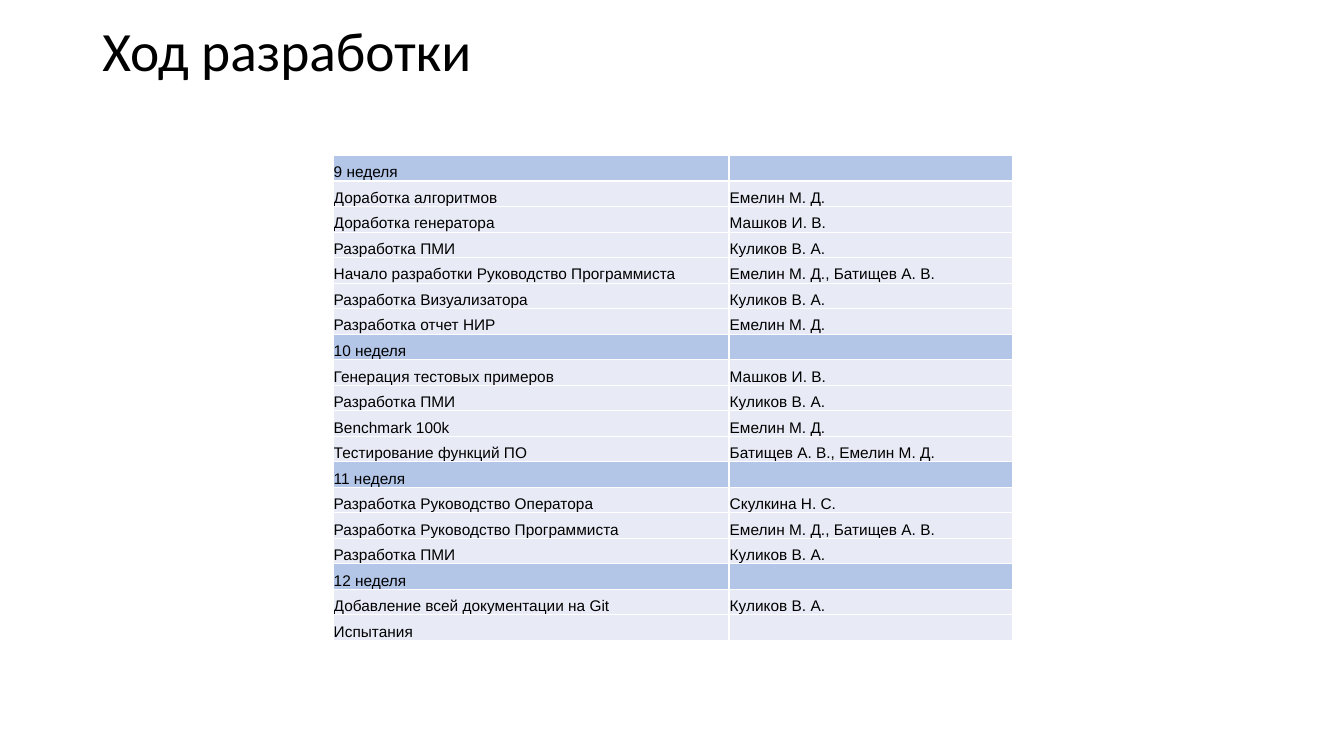
"""Build the development progress slide with its weekly task table."""
from lxml.etree import SubElement, fromstring
from pptx import Presentation
from pptx.dml.color import RGBColor
from pptx.enum.text import MSO_ANCHOR
from pptx.oxml.ns import qn
from pptx.util import Cm, Pt

BORDER = (
    '<a:{side} xmlns:a="http://schemas.openxmlformats.org/drawingml/2006/main" w="12700">'
    '<a:solidFill><a:srgbClr val="FFFFFF"/></a:solidFill></a:{side}>'
)
WEEKS = {
    "9 неделя": [
        ("Доработка алгоритмов", "Емелин М. Д."),
        ("Доработка генератора", "Машков И. В."),
        ("Разработка ПМИ", "Куликов В. А."),
        ("Начало разработки Руководство Программиста", "Емелин М. Д., Батищев А. В."),
        ("Разработка Визуализатора", "Куликов В. А."),
        ("Разработка отчет НИР", "Емелин М. Д."),
    ],
    "10 неделя": [
        ("Генерация тестовых примеров", "Машков И. В."),
        ("Разработка ПМИ", "Куликов В. А."),
        ("Benchmark 100k", "Емелин М. Д."),
        ("Тестирование функций ПО", "Батищев А. В., Емелин М. Д."),
    ],
    "11 неделя": [
        ("Разработка Руководство Оператора", "Скулкина Н. С."),
        ("Разработка Руководство Программиста", "Емелин М. Д., Батищев А. В."),
        ("Разработка ПМИ", "Куликов В. А."),
    ],
    "12 неделя": [
        ("Добавление всей документации на Git", "Куликов В. А."),
        ("Испытания", ""),
    ],
}


def color(value):
    return RGBColor.from_string(value)


def write(frame, text, font="Arial", size=11, fill="000000", spacing=1.0):
    para = frame.paragraphs[0]
    para.line_spacing = spacing
    if not text:
        SubElement(para._p, qn("a:endParaRPr"), sz=str(size * 100))
        return
    span = para.add_run()
    span.text = text
    span.font.name = font
    span.font.size = Pt(size)
    span.font.color.rgb = color(fill)


deck = Presentation()
deck.slide_width = Cm(33.87)
deck.slide_height = Cm(19.05)
page = deck.slides.add_slide(deck.slide_layouts[6])

title = page.shapes.add_textbox(Cm(2.33), Cm(0.46), Cm(29.21), Cm(1.8))
title.text_frame.word_wrap = True
write(title.text_frame, "Ход разработки", font="Calibri", size=39.6, spacing=0.9)

rows = []
for week, tasks in WEEKS.items():
    rows.append((week, "", "B3C6E7"))
    rows += [(task, people, "E8EBF5") for task, people in tasks]

holder = page.shapes.add_table(len(rows), 2, Cm(8.39), Cm(3.92), Cm(17.12), Cm(12.23))
table = holder.table
table.first_row = False
table.horz_banding = False
table.columns[0].width = Cm(9.98)
table.columns[1].width = Cm(7.14)

for row, (task, people, shade) in enumerate(rows):
    for column, text in enumerate((task, people)):
        cell = table.cell(row, column)
        cell.margin_left = cell.margin_right = cell.margin_top = Cm(0.02)
        cell.margin_bottom = Cm(0)
        cell.vertical_anchor = MSO_ANCHOR.BOTTOM
        cell.fill.solid()
        cell.fill.fore_color.rgb = color(shade)
        write(cell.text_frame, text)
        properties = cell._tc.get_or_add_tcPr()
        for place, side in enumerate(("lnL", "lnR", "lnT", "lnB")):
            properties.insert(place, fromstring(BORDER.format(side=side)))

deck.save("out.pptx")
